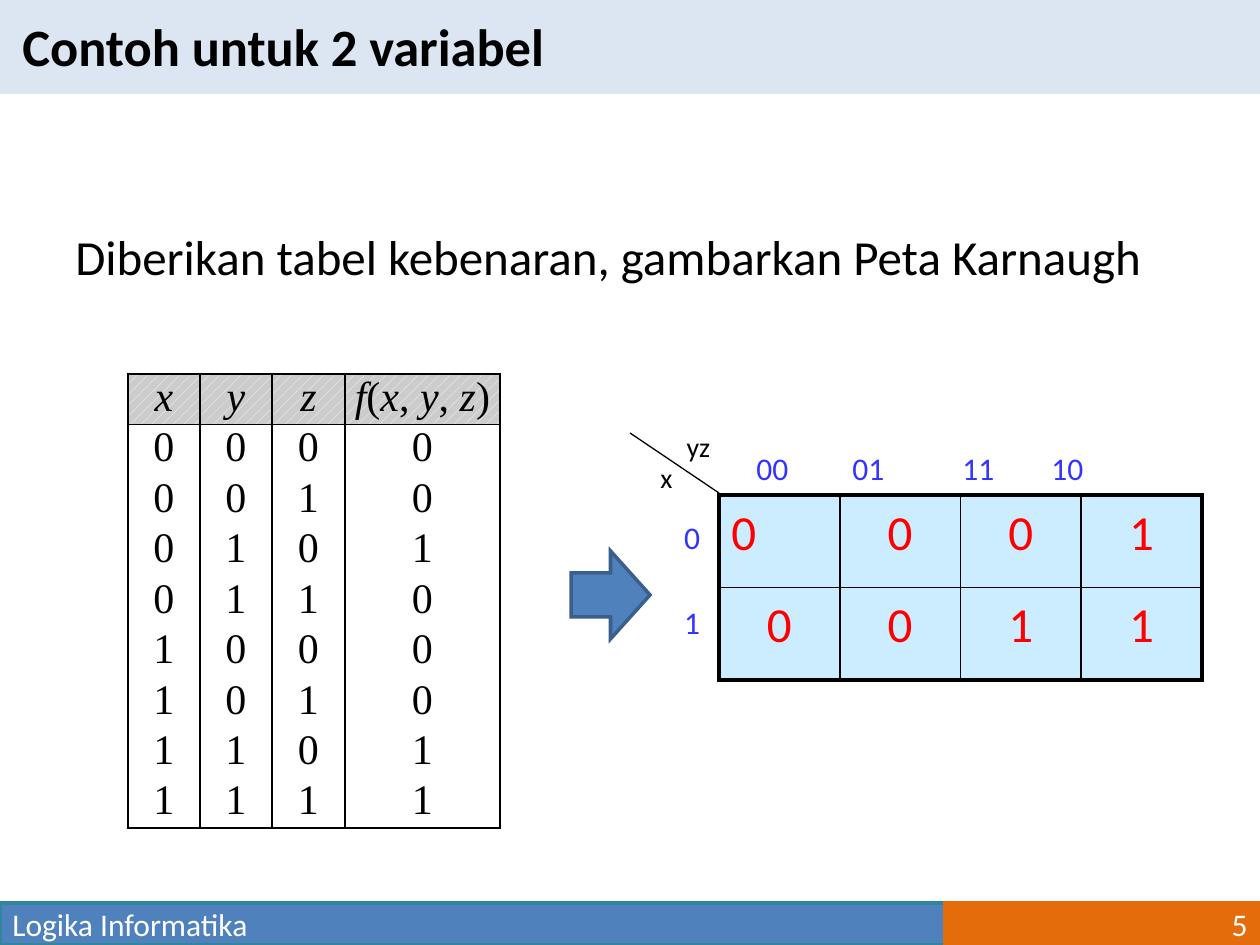
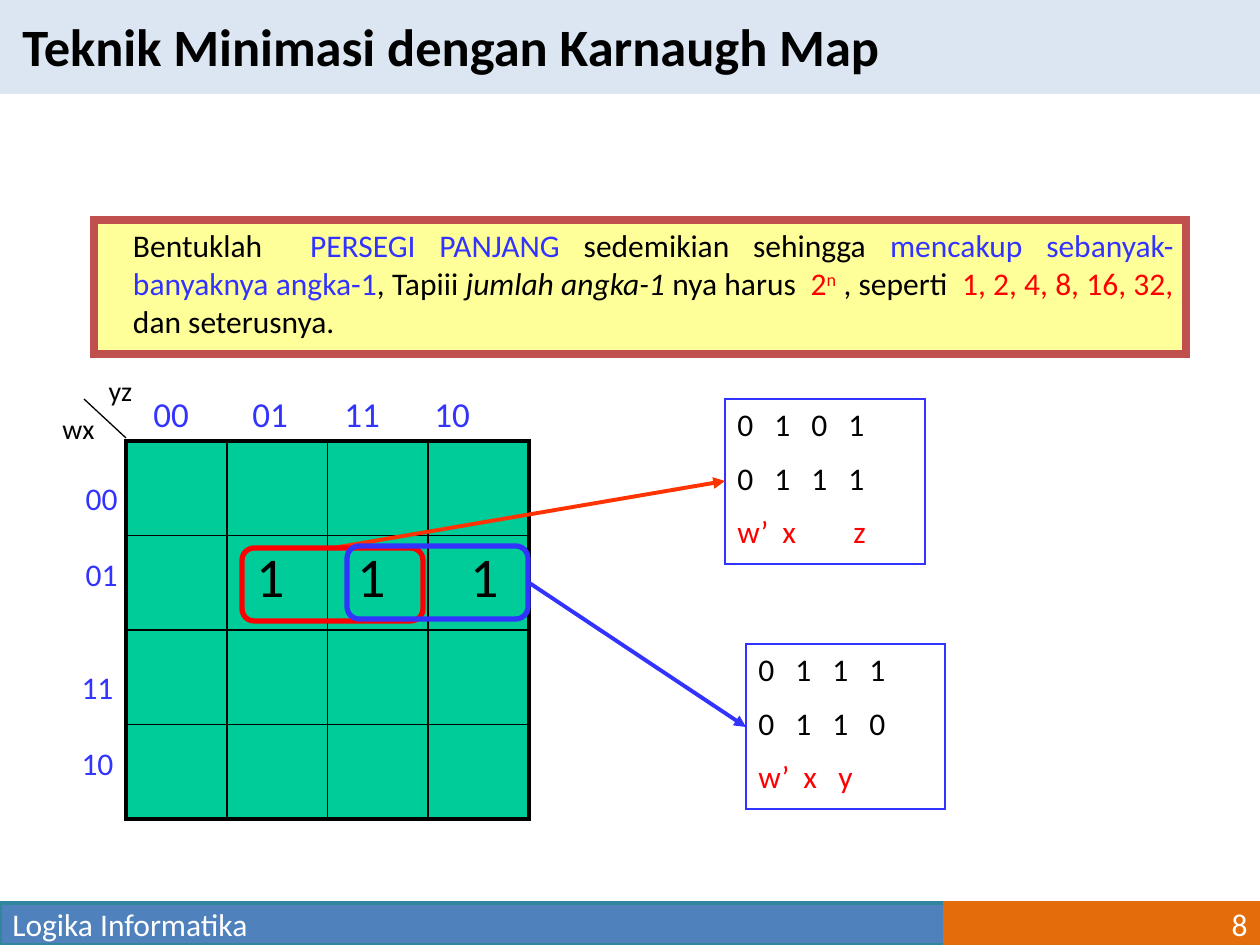
from lxml.etree import SubElement
from pptx import Presentation
from pptx.dml.color import RGBColor
from pptx.enum.dml import MSO_PATTERN
from pptx.enum.shapes import MSO_CONNECTOR, MSO_SHAPE
from pptx.enum.text import MSO_ANCHOR, PP_ALIGN
from pptx.oxml.ns import qn
from pptx.util import Pt

SCALE = 914400 / 126
BLACK, WHITE, RED, BLUE = "000000", "FFFFFF", "FF0000", "3333FF"
PALE, STEEL, TEAL, ORANGE = "DCE6F2", "4F81BD", "31859C", "E46C0A"
LEFT, MID, RIGHT = PP_ALIGN.LEFT, PP_ALIGN.CENTER, PP_ALIGN.RIGHT
FONT, SERIF = "Calibri", "Times New Roman"


def px(num):
    return round(num * SCALE)


def rgb(code):
    return RGBColor.from_string(code)


def add_run(para, text, size, color=BLACK, font=FONT, bold=False,
            italic=False, raised=False):
    run = para.add_run()
    run.text = text
    face = run.font
    face.name, face.size = font, Pt(size)
    face.bold, face.italic = bold, italic
    face.color.rgb = rgb(color)
    if raised:
        run._r.get_or_add_rPr().set("baseline", "30000")


def set_tabs(para, stops):
    """Put left tab stops, in px from the text edge, on a paragraph."""
    tabs = SubElement(para._p.get_or_add_pPr(), qn("a:tabLst"))
    for stop in stops:
        SubElement(tabs, qn("a:tab"), pos=str(px(stop)), algn="l")


def write(frame, paras, size, color=BLACK, align=LEFT, gap=0, tabs=()):
    """Fill a frame; each paragraph is a list of (text, style) runs."""
    for num, runs in enumerate(paras):
        para = frame.add_paragraph() if num else frame.paragraphs[0]
        para.alignment = align
        if num and gap:
            para.space_before = Pt(gap)
        if tabs:
            set_tabs(para, tabs[num])
        for text, style in runs:
            add_run(para, text, size, **{"color": color, **style})


def plain(*lines):
    return [[(line, {})] for line in lines]


def add_text(slide, at, paras, size, wrap=True, **look):
    box = slide.shapes.add_textbox(*map(px, at))
    box.text_frame.word_wrap = wrap
    write(box.text_frame, paras, size, **look)


def add_box(slide, at, fill=None, line=None, width=1, kind=MSO_SHAPE.RECTANGLE,
            anchor=MSO_ANCHOR.TOP):
    box = slide.shapes.add_shape(kind, *map(px, at))
    box.shadow.inherit = False
    if fill:
        box.fill.solid()
        box.fill.fore_color.rgb = rgb(fill)
    else:
        box.fill.background()
    if line:
        box.line.color.rgb = rgb(line)
        box.line.width = Pt(width)
        edge = box._element.spPr.find(qn("a:ln"))
        SubElement(edge, qn("a:miter"), lim="800000")
    else:
        box.line.fill.background()
    box.text_frame.word_wrap = True
    box.text_frame.vertical_anchor = anchor
    return box


def add_line(slide, ends, color=BLACK, width=1, arrow=False, cap="flat"):
    line = slide.shapes.add_connector(MSO_CONNECTOR.STRAIGHT, *map(px, ends))
    line.line.color.rgb = rgb(color)
    line.line.width = Pt(width)
    props = line._element.spPr
    edge = props.find(qn("a:ln"))
    edge.set("cap", cap)
    if arrow:
        SubElement(edge, qn("a:tailEnd"), type="triangle")
    SubElement(props, qn("a:effectLst"))


def add_frame(deck, title, page):
    """Start a slide with its title band and footer."""
    slide = deck.slides.add_slide(deck.slide_layouts[6])
    add_box(slide, (0, 0, 1260, 94), PALE)
    add_text(slide, (10, 8, 892, 77), [[(title, {"bold": True})]], 30,
             wrap=False)
    bands = ((0, 945, STEEL, TEAL, "Logika Informatika", LEFT),
             (945, 315, ORANGE, ORANGE, page, RIGHT))
    for left, wide, fill, edge, text, align in bands:
        band = add_box(slide, (left, 903, wide, 42), fill, edge, 2,
                       anchor=MSO_ANCHOR.MIDDLE)
        write(band.text_frame, plain(text), 18, WHITE, align)
    return slide


def add_rule(slide, ends, rim):
    """Draw one grid line, thick on the rim."""
    if rim:
        add_line(slide, ends, width=2.25, cap="sq")
    else:
        add_line(slide, ends)


def add_map(slide, at, rows, fill, size, color):
    """Draw a Karnaugh map: filled cells under a grid with a thick rim."""
    left, top, wide, high = at
    down, across = len(rows), len(rows[0])
    cell_w, cell_h = wide / across, high / down
    for row, marks in enumerate(rows):
        for col, mark in enumerate(marks):
            cell = add_box(slide, (left + col * cell_w, top + row * cell_h,
                                   cell_w, cell_h), fill)
            if mark:
                first = row == col == 0
                write(cell.text_frame, plain(mark), size, color,
                      LEFT if first else MID)
    for row in range(down + 1):
        y = top + row * cell_h
        add_rule(slide, (left, y, left + wide, y), row in (0, down))
    for col in range(across + 1):
        x = left + col * cell_w
        add_rule(slide, (x, top, x, top + high), col in (0, across))


def add_edge(cell, sides):
    """Rule the named sides of a table cell and clear the others."""
    props = cell._tc.get_or_add_tcPr()
    for side in "LRTB":
        edge = SubElement(props, qn("a:ln" + side), w=str(Pt(1)))
        if side in sides:
            paint = SubElement(edge, qn("a:solidFill"))
            SubElement(paint, qn("a:srgbClr"), val=BLACK)
        else:
            SubElement(edge, qn("a:noFill"))


def add_truth(slide, at, widths, heads, rows):
    """Add a truth table with a hatched head row and open columns after it."""
    count, used = len(rows) + 1, len(heads)
    table = slide.shapes.add_table(count, len(widths), *map(px, at)).table
    table.first_row = table.horz_banding = False
    for col, wide in zip(table.columns, widths):
        col.width = px(wide)
    body = [[[(mark, {})] for mark in row] for row in rows]
    for row, line in enumerate([heads] + body):
        for col in range(len(widths)):
            cell = table.cell(row, col)
            cell.margin_left = cell.margin_right = px(9)
            cell.margin_top = cell.margin_bottom = 0
            if col >= used:
                add_edge(cell, "L" if col == used else "")
                cell.fill.background()
                continue
            sides = "LR" + "T" * (row < 2) + "B" * (row in (0, count - 1))
            add_edge(cell, sides)
            if row:
                cell.fill.background()
            else:
                cell.fill.patterned()
                cell.fill.pattern = MSO_PATTERN.PERCENT_20
                cell.fill.fore_color.rgb = rgb(WHITE)
                cell.fill.back_color.rgb = rgb("CCCCCC")
            styled = [(text, {"font": SERIF, **style})
                      for text, style in line[col]]
            write(cell.text_frame, [styled], 24, align=MID)


def add_code(slide, at, codes, term, stops):
    """Box the minterms of a group above the term they reduce to."""
    box = add_box(slide, at, line=BLUE, width=0.75)
    paras = plain(*("\t".join(code) for code in codes))
    paras.append([("\t".join(term), {"color": RED})])
    digits = (37, 74, 111)
    write(box.text_frame, paras, 18, gap=9, tabs=(digits, digits, stops))


def add_axes(slide, slant, names):
    """Draw the corner slash and the two variable names beside it."""
    add_line(slide, slant, width=0.75)
    for name, left, top in names:
        add_text(slide, (left, top, 73, 47), plain(name), 16, align=MID)


def show_table(deck):
    slide = add_frame(deck, "Contoh untuk 2 variabel", "5")
    add_text(slide, (63, 220, 1158, 624),
             plain("Diberikan tabel kebenaran, gambarkan Peta Karnaugh"), 28)
    slant = {"italic": True}
    heads = [[(name, slant)] for name in "xyz"]
    heads.append([(mark, slant if mark.isalpha() else {})
                  for mark in ("f", "(", "x", ", ", "y", ", ", "z", ")")])
    values = "00100011"
    rows = [f"{num:03b}{value}" for num, value in enumerate(values)]
    add_truth(slide, (128, 374, 483, 454), (72, 72, 73, 155, 33, 78),
              heads, rows)
    add_map(slide, (719, 495, 483, 185), ("0001", "0011"), "CCECFF", 28, RED)
    add_text(slide, (730, 443, 472, 50), plain("\t00\t01\t11\t10"), 18,
             color=BLUE, tabs=[(14, 110, 220, 309)])
    add_text(slide, (650, 512, 84, 146), plain("0", "1"), 18, color=BLUE,
             align=MID, gap=26.6)
    add_axes(slide, (719, 493, 630, 433), (("x", 630, 454), ("yz", 662, 423)))
    add_box(slide, (571, 551, 79, 88), STEEL, "3A5F8C", 2,
            MSO_SHAPE.RIGHT_ARROW)


def show_groups(deck):
    slide = add_frame(deck, "Teknik Minimasi dengan Karnaugh Map", "8")
    note = add_box(slide, (94, 220, 1092, 134), "FFFF99", "C0504D", 4.5)
    note.text_frame.margin_left = px(39)
    blue, red = {"color": BLUE}, {"color": RED}
    rule = [("Bentuklah  ", {}), ("PERSEGI PANJANG", blue),
            (" sedemikian sehingga ", {}),
            ("mencakup sebanyak-banyaknya angka-1", blue), (", Tapiii ", {}),
            ("jumlah angka-1", {"italic": True}), (" nya harus  ", {}),
            ("2", red), ("n", {**red, "raised": True}), (" , seperti  ", {}),
            ("1, 2, 4, 8, 16, 32,", red), (" dan seterusnya.", {})]
    write(note.text_frame, [rule], 18, align=PP_ALIGN.JUSTIFY)
    blank = ("",) * 4
    add_map(slide, (126, 441, 403, 378),
            (blank, ("", "1 ", "1 ", " 1"), blank, blank),
            "00CC99", 32, BLACK)
    add_text(slide, (126, 386, 415, 54), plain("\t00\t01\t11\t10"), 20,
             color=BLUE, tabs=[(15, 114, 206, 296)])
    for left, top, pair in ((67, 473, ("00", "01")), (63, 662, ("11", "10"))):
        add_text(slide, (left, top, 69, 126), plain(*pair), 18, color=BLUE,
                 align=MID, gap=21.6)
    add_axes(slide, (126, 438, 84, 399), (("yz", 84, 367), ("wx", 42, 405)))
    add_code(slide, (725, 399, 200, 165), ("0101", "0111"),
             ("w’", "x", "z"), (45, 116))
    add_code(slide, (746, 644, 199, 165), ("0111", "0110"),
             ("w’", "x", "y"), (45, 80))
    add_line(slide, (333, 548, 725, 481), "FF3300", 2.25, True)
    add_line(slide, (528, 582, 746, 727), BLUE, 2.25, True)
    for left, top, color in ((242, 548, RED), (347, 546, BLUE)):
        add_box(slide, (left, top, 181, 73), line=color, width=3,
                kind=MSO_SHAPE.ROUNDED_RECTANGLE)


def main():
    deck = Presentation()
    deck.slide_width, deck.slide_height = px(1260), px(945)
    show_table(deck)
    show_groups(deck)
    deck.save("out.pptx")


if __name__ == "__main__":
    main()
